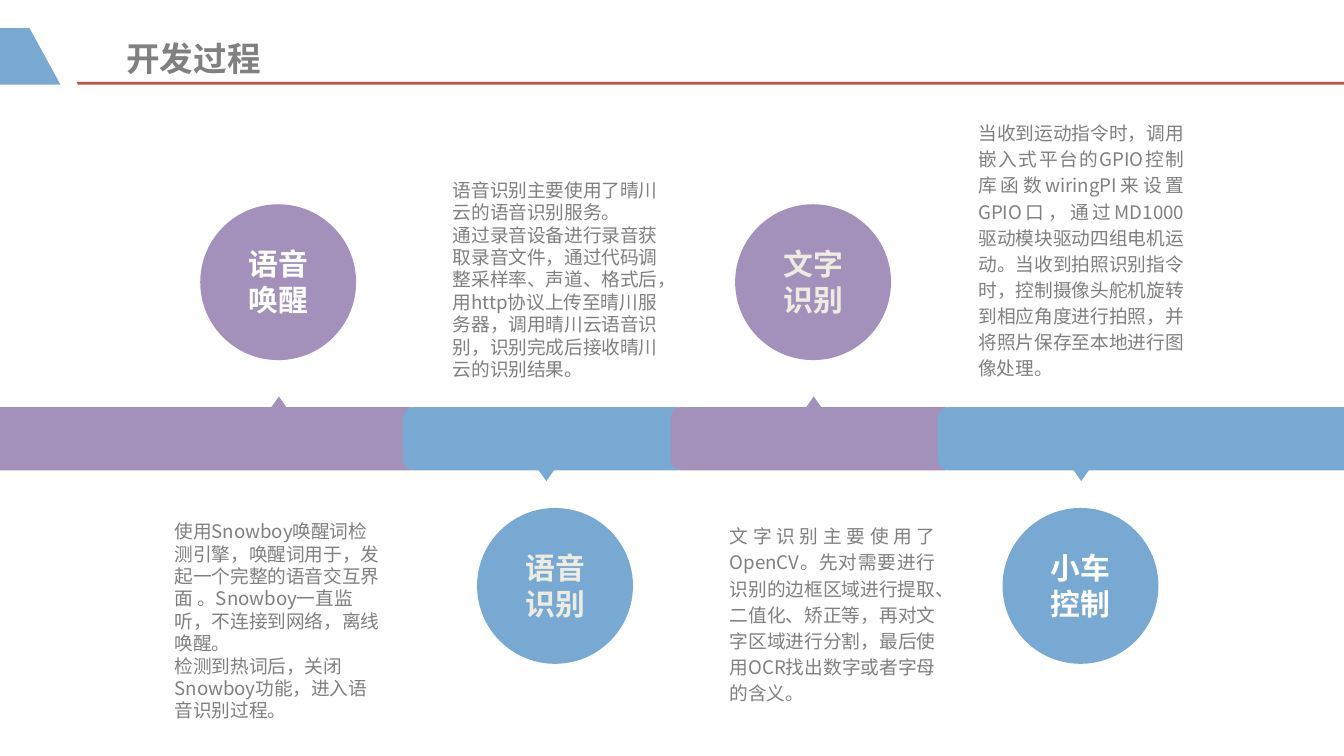
from pptx import Presentation
from pptx.dml.color import RGBColor
from pptx.enum.shapes import MSO_SHAPE as Shape
from pptx.enum.text import MSO_ANCHOR as Anchor, PP_ALIGN as Align
from pptx.oxml.ns import qn
from pptx.util import Inches, Pt
from lxml.etree import SubElement

FONT = "Noto Sans CJK SC"
PURPLE, BLUE, RED, GRAY, WHITE, CREAM = "A491BB", "77A9D3", "C0504D", "808080", "FFFFFF", "EEECE1"
WIDTH = 10
HEIGHT = WIDTH * 9 / 16
TITLE = "开发过程"
HEADER = [
    (RED, [(0.57, 0.61), (WIDTH, 0.61), (WIDTH, 0.63), (0.58, 0.63)]),
    (BLUE, [(0.22, 0.21), (0.45, 0.63), (0, 0.63), (0, 0.21)]),
]
PLAIN = {"alignment": Align.LEFT, "line_spacing": Pt(12)}
JUSTIFIED = {"alignment": Align.JUSTIFY, "line_spacing": Pt(14)}
CENTERED = {"alignment": Align.CENTER, "line_spacing": Pt(19.2)}
STEPS = [
    {"label": "语音唤醒", "color": PURPLE, "label_color": WHITE, "circle": 1.49,
     "note_at": (1.3, 3.87, 1.53, 1.35), "format": PLAIN, "note": [
         "使用Snowboy唤醒词检测引擎，唤醒词用于，发起一个完整的语音交互界面 。Snowboy一直监\v听，不连接到网络，离线唤醒。",
         "检测到热词后，关闭Snowboy功能，进入语音识别过程。"]},
    {"label": "语音识别", "color": BLUE, "label_color": CREAM, "circle": 3.55,
     "note_at": (3.37, 1.33, 1.53, 1.51), "format": PLAIN, "note": [
         "语音识别主要使用了晴川云的语音识别服务。",
         "通过录音设备进行录音获取录音文件，通过代码调整采样率、声道、格式后，用http协议上传至晴川服务器，"
         "调用晴川云语音识别，识别完成后接收晴川云的识别结果。"]},
    {"label": "文字识别", "color": PURPLE, "label_color": CREAM, "circle": 5.47,
     "note_at": (5.43, 3.88, 1.53, 1.37), "format": JUSTIFIED, "note": [
         "文字识别主要使用了OpenCV。先对需要进行识别的边框区域进行提取、二值化、矫正等，再对文字区域进行分割，"
         "最后使用OCR找出数字或者字母的含义。"]},
    {"label": "小车控制", "color": BLUE, "label_color": WHITE, "circle": 7.46,
     "note_at": (7.28, 0.88, 1.53, 1.96), "format": JUSTIFIED, "note": [
         "当收到运动指令时，调用嵌入式平台的GPIO控制库函数wiringPI来设置GPIO口，通过MD1000驱动模块驱动四组电机运动。"
         "当收到拍照识别指令时，控制摄像头舵机旋转到相应角度进行拍照，并将照片保存至本地进行图像处理。"]},
]
PITCH, FIRST_BAR, OVERLAP, BLEED = 1.99, 1.01, 0.13, 0.12
BAR_TOP, BAR_HEIGHT = 3.03, 0.47
POINTER_WIDTH, POINTER_HEIGHT, CIRCLE = 0.14, 0.1, 1.16
LABEL_WIDTH, LABEL_HEIGHT = 0.61, 0.54


def paint(shape, color):
    """Give a shape a flat fill with no line or shadow."""
    shape.shadow.inherit = False
    shape.fill.solid()
    shape.fill.fore_color.rgb = RGBColor.from_string(color)
    shape.line.fill.background()


def add_block(slide, kind, box, color):
    """Add a flat preset shape."""
    shape = slide.shapes.add_shape(kind, *map(Inches, box))
    paint(shape, color)
    return shape


def write(shape, texts, size, color, bold, paragraph_format, **frame_format):
    """Fill a text frame with formatted paragraphs."""
    frame = shape.text_frame
    frame_values = {"word_wrap": True, "margin_left": 0, "margin_right": 0,
                    "margin_top": 0, "margin_bottom": 0, **frame_format}
    for name, value in frame_values.items():
        setattr(frame, name, value)
    frame.text = "\n".join(texts)
    for paragraph in frame.paragraphs:
        for name, value in paragraph_format.items():
            setattr(paragraph, name, value)
        for run in paragraph.runs:
            for name, value in {"size": Pt(size), "bold": bold, "name": FONT}.items():
                setattr(run.font, name, value)
            run.font.color.rgb = RGBColor.from_string(color)
            SubElement(run.font._element, qn("a:ea"), typeface=FONT)


def add_header(slide):
    """Draw the header shapes and place the title."""
    for color, points in HEADER:
        corners = [(Inches(x), Inches(y)) for x, y in points]
        builder = slide.shapes.build_freeform(*corners[0])
        builder.add_line_segments(corners[1:], close=True)
        paint(builder.convert_to_shape(), color)
    title = slide.shapes.title
    title.left, title.top, title.width, title.height = map(Inches, (0.94, 0.22, 2.33, 0.42))
    write(title, [TITLE], 18, GRAY, True, {"alignment": Align.LEFT}, vertical_anchor=Anchor.MIDDLE,
          margin_top=Inches(0.05), margin_bottom=Inches(0.05))


def add_step(slide, index, step):
    """Draw one bar with its pointer, circle, label and note."""
    above = index % 2 == 0
    start = FIRST_BAR + index * PITCH
    left = -BLEED if index == 0 else start
    right = WIDTH + BLEED if index == len(STEPS) - 1 else start + PITCH + OVERLAP
    bar = add_block(slide, Shape.ROUNDED_RECTANGLE, (left, BAR_TOP, right - left, BAR_HEIGHT), step["color"])
    bar.adjustments[0] = 0.167
    pointer_top = 2.95 if above else 3.48
    pointer = add_block(slide, Shape.ISOSCELES_TRIANGLE,
                        (start + PITCH / 2, pointer_top, POINTER_WIDTH, POINTER_HEIGHT), step["color"])
    pointer.rotation = 0 if above else 180
    circle_top = 1.52 if above else 3.78
    add_block(slide, Shape.OVAL, (step["circle"], circle_top, CIRCLE, CIRCLE), step["color"])
    label_box = (step["circle"] + (CIRCLE - LABEL_WIDTH) / 2, circle_top + (CIRCLE - LABEL_HEIGHT) / 2,
                 LABEL_WIDTH, LABEL_HEIGHT)
    label = slide.shapes.add_textbox(*map(Inches, label_box))
    write(label, [step["label"]], 16, step["label_color"], True, CENTERED)
    note = slide.shapes.add_textbox(*map(Inches, step["note_at"]))
    write(note, step["note"], 10, GRAY, False, step["format"])


def main():
    """Build and save the slide."""
    presentation = Presentation()
    presentation.slide_width, presentation.slide_height = Inches(WIDTH), Inches(HEIGHT)
    slide = presentation.slides.add_slide(presentation.slide_layouts[5])
    add_header(slide)
    for index, step in enumerate(STEPS):
        add_step(slide, index, step)
    presentation.save("out.pptx")


if __name__ == "__main__":
    main()
